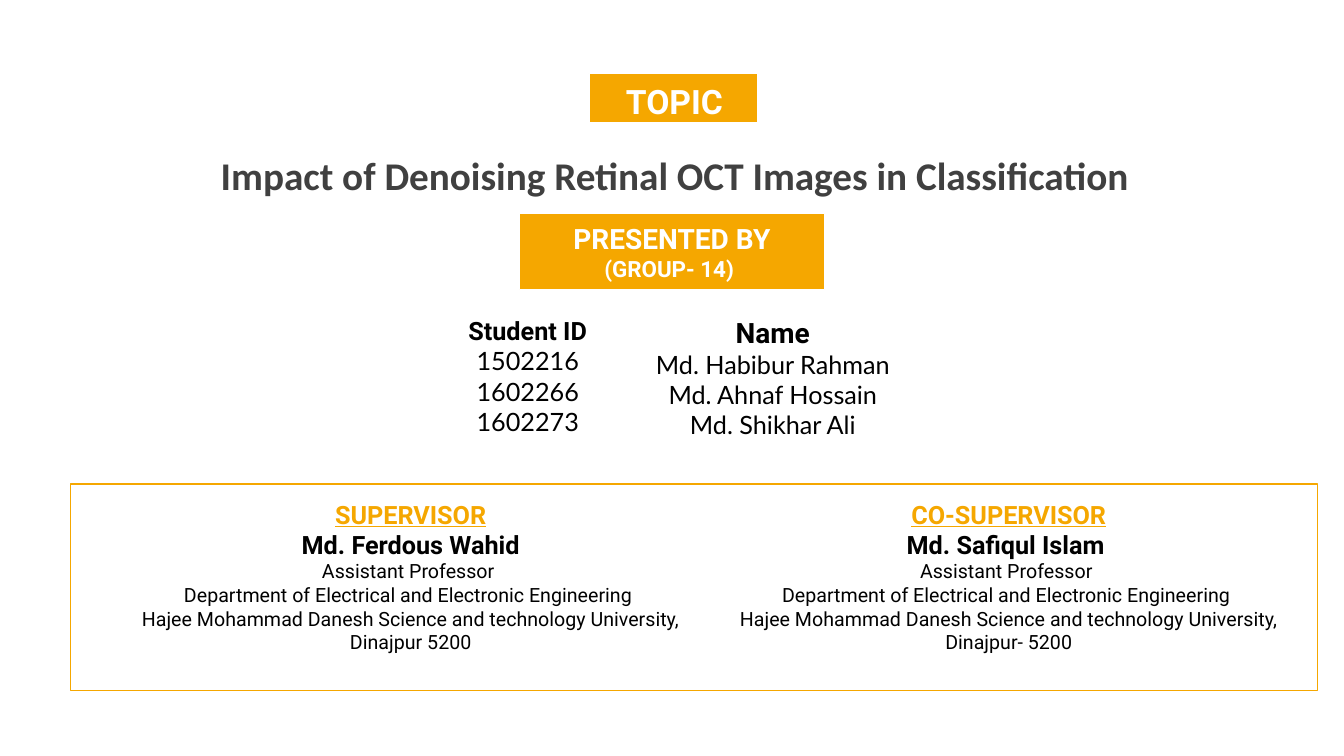
from pptx import Presentation
from pptx.dml.color import RGBColor
from pptx.enum.shapes import MSO_SHAPE as Shape
from pptx.enum.text import PP_ALIGN as Align
from pptx.util import Inches, Pt

AMBER, WHITE, BLACK, GRAY = "F5A700", "FFFFFF", "000000", "404040"


def color(value):
    return RGBColor.from_string(value)


def add_lines(bounds, lines, columns=1):
    box = slide.shapes.add_textbox(*map(Inches, bounds))
    frame = box.text_frame
    frame.word_wrap = True
    if columns > 1:
        frame._txBody.bodyPr.set("numCol", str(columns))
    for index, (text, (size, font, shade, bold, underline)) in enumerate(lines):
        line = frame.add_paragraph() if index else frame.paragraphs[0]
        line.text = text
        line.alignment = Align.CENTER
        style = line.runs[0].font
        style.size, style.name = Pt(size), font
        style.bold, style.underline = bold, underline
        style.color.rgb = color(shade)
    return frame


prs = Presentation()
prs.slide_width, prs.slide_height = Inches(13.33), Inches(7.5)
slide = prs.slides.add_slide(prs.slide_layouts[6])

for bounds, fill, outline in [
    ((5.15, 2.12, 3.03, 0.75), AMBER, WHITE),
    ((5.84, 0.73, 1.68, 0.49), AMBER, WHITE),
    ((0.7, 4.8, 12.37, 2.05), WHITE, AMBER),
]:
    panel = slide.shapes.add_shape(Shape.RECTANGLE, *map(Inches, bounds))
    panel.shadow.inherit = False
    panel.fill.solid()
    panel.fill.fore_color.rgb = color(fill)
    panel.line.color.rgb = color(outline)
    panel.line.width = Pt(1)

topic = add_lines((1.06, 0.75, 11.26, 1.28), [
    ("TOPIC", (24, "Roboto", WHITE, True, False)),
    ("Impact of Denoising Retinal OCT Images in Classification",
     (28, "Calibri", GRAY, True, False)),
])
topic.paragraphs[1].space_before = Pt(22)

add_lines((3.8, 2.15, 5.73, 0.71), [
    ("PRESENTED BY", (20, "Roboto", WHITE, True, False)),
    ("(GROUP- 14) ", (16, "Roboto", WHITE, True, False)),
])

entry = (18, "Lato", BLACK, False, False)
add_lines((3.92, 3.08, 5.06, 1.35), [
    ("Student ID", (18, "Roboto", BLACK, True, False)),
    ("1502216", entry),
    ("1602266", entry),
    ("1602273", entry),
    ("Name", (20, "Roboto", BLACK, True, False)),
    ("Md. Habibur Rahman", entry),
    ("Md. Ahnaf Hossain", entry),
    ("Md. Shikhar Ali", entry),
], columns=2)

role = (18, "Roboto", AMBER, True, True)
person = (18, "Roboto", BLACK, True, False)
detail = (14, "Roboto", BLACK, False, False)
post = [
    ("Assistant Professor ", detail),
    ("Department of Electrical and Electronic Engineering ", detail),
]
university = "Hajee Mohammad Danesh Science and technology University,"
supervisors = add_lines((1.01, 4.9, 12.06, 1.95), [
    ("SUPERVISOR", role),
    ("Md. Ferdous Wahid", person),
    *post,
    (university, detail),
    ("Dinajpur 5200", detail),
    ("CO-SUPERVISOR", role),
    ("Md. Safiqul Islam ", person),
    *post,
    (university + " Dinajpur- 5200", detail),
], columns=2)
supervisors.margin_bottom = Inches(0.25)

prs.save("out.pptx")
